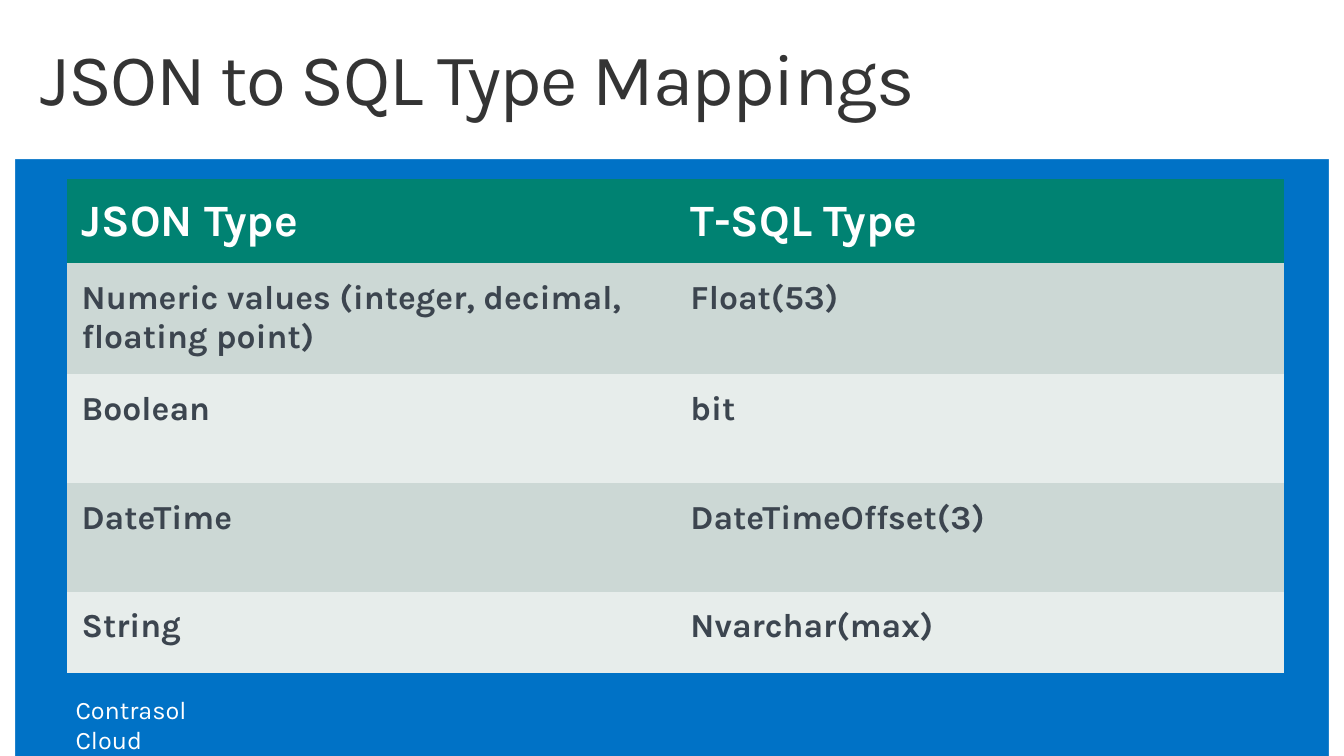
from dataclasses import dataclass

from pptx import Presentation
from pptx.dml.color import RGBColor
from pptx.enum.shapes import MSO_SHAPE
from pptx.enum.text import MSO_ANCHOR
from pptx.oxml.ns import qn
from pptx.util import Inches, Pt

RECTANGLE = MSO_SHAPE.RECTANGLE
TOP = MSO_ANCHOR.TOP
MIDDLE = MSO_ANCHOR.MIDDLE
PLAIN_TABLE_STYLE = "{2D5ABB26-0587-4C30-8999-92F81FD0307C}"
SLIDE_WIDTH = Inches(13.33)
SLIDE_HEIGHT = Inches(7.5)


@dataclass(frozen=True)
class Theme:
    font: str = "Karla"
    background: str = "0072C6"
    white: str = "FFFFFF"
    title: str = "343434"
    header: str = "008272"
    body: str = "3C454F"
    bands: tuple = ("CCD8D5", "E7EDEB")
    title_size: int = 52
    header_size: int = 32
    body_size: int = 24
    footer_size: int = 18


THEME = Theme()
MARGIN = 1.13
TITLE_BAND = 21.07
ROW_SHARES = (10.8, 14.4, 14.4, 14.4, 10.7)
TYPE_MAPPINGS = (
    ("JSON Type", "T-SQL Type"),
    ("Numeric values (integer, decimal, floating point)", "Float(53)"),
    ("Boolean", "bit"),
    ("DateTime", "DateTimeOffset(3)"),
    ("String", "Nvarchar(max)"),
)


def across(percent):
    return round(SLIDE_WIDTH * percent / 100)


def down(percent):
    return round(SLIDE_HEIGHT * percent / 100)


def place(left, top, width, height):
    return across(left), down(top), across(width), down(height)


def paint(fill, color):
    fill.solid()
    fill.fore_color.rgb = RGBColor.from_string(color)


def style_font(paragraph, size, color, bold=False):
    font = paragraph.font
    font.name = THEME.font
    font.size = Pt(size)
    font.bold = bold
    font.color.rgb = RGBColor.from_string(color)


def add_panel(slide, *area):
    panel = slide.shapes.add_shape(RECTANGLE, *place(*area))
    panel.shadow.inherit = False
    paint(panel.fill, THEME.white)
    panel.line.fill.background()


def add_label(slide, wording, area, size, color, inset_top, inset_right):
    frame = slide.shapes.add_textbox(*place(*area)).text_frame
    frame.word_wrap = True
    frame.vertical_anchor = TOP
    frame.margin_top = Inches(inset_top)
    frame.margin_right = Inches(inset_right)
    paragraph = frame.paragraphs[0]
    paragraph.text = wording
    style_font(paragraph, size, color)
    return paragraph


def add_title(slide, wording):
    title = add_label(slide, wording, (2.25, 4.27, 81, 13.47),
                      THEME.title_size, THEME.title, 0.1, 0.1)
    title.line_spacing = 0.9
    title.runs[0].font._element.set("spc", "-100")


def fill_cell(cell, wording, fill, size, color, anchor):
    cell.text = wording
    cell.vertical_anchor = anchor
    cell.margin_left = cell.margin_right = Inches(0.15)
    cell.margin_top = cell.margin_bottom = Inches(0.15)
    paint(cell.fill, fill)
    style_font(cell.text_frame.paragraphs[0], size, color, bold=True)


def add_mapping_table(slide):
    area = place(4.95, 23.73, 90.6, sum(ROW_SHARES))
    table = slide.shapes.add_table(len(TYPE_MAPPINGS), 2, *area).table
    table.horz_banding = False
    table._tbl.tblPr.find(qn("a:tableStyleId")).text = PLAIN_TABLE_STYLE
    for row, mapping in enumerate(TYPE_MAPPINGS):
        table.rows[row].height = down(ROW_SHARES[row])
        if row == 0:
            look = (THEME.header, THEME.header_size, THEME.white, MIDDLE)
        else:
            band = THEME.bands[(row - 1) % 2]
            look = (band, THEME.body_size, THEME.body, TOP)
        for column, type_name in enumerate(mapping):
            fill_cell(table.cell(row, column), type_name, *look)


def main():
    deck = Presentation()
    deck.slide_width = SLIDE_WIDTH
    deck.slide_height = SLIDE_HEIGHT
    slide = deck.slides.add_slide(deck.slide_layouts[6])
    paint(slide.background.fill, THEME.background)
    add_panel(slide, 0, 0, MARGIN, 100)
    add_panel(slide, 100 - MARGIN, 0, MARGIN, 100)
    add_panel(slide, 0, 0, 100, TITLE_BAND)
    add_title(slide, "JSON to SQL Type Mappings")
    add_mapping_table(slide)
    add_label(slide, "Contrasol Cloud", (4.88, 91.2, 14.7, 5.33),
              THEME.footer_size, THEME.white, 0.05, 0.6)
    deck.save("out.pptx")


if __name__ == "__main__":
    main()
